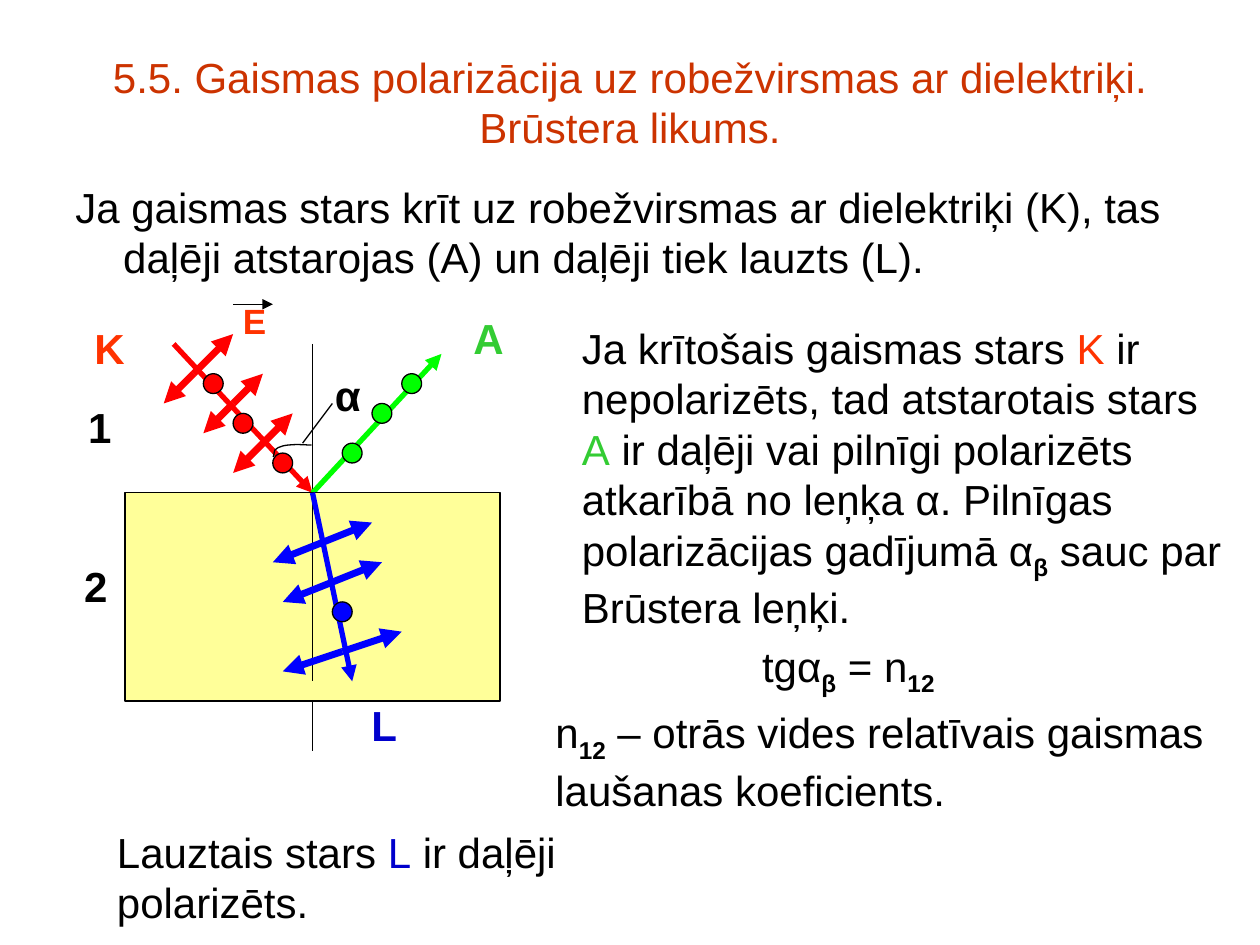
"""Build the slide on polarization at a dielectric boundary and Brewster's law."""
from lxml.etree import SubElement
from pptx import Presentation
from pptx.dml.color import RGBColor
from pptx.enum.shapes import MSO_CONNECTOR as Link, MSO_SHAPE as Preset
from pptx.enum.text import MSO_ANCHOR as Anchor, PP_ALIGN as Align
from pptx.oxml.ns import qn
from pptx.util import Inches, Pt

BLACK, RED, GREEN, BLUE = "000000", "FF0000", "00FF00", "0000FF"
K_TEXT, A_TEXT, L_TEXT = "FF3300", "33CC33", "0000CC"
SUBSCRIPT = {"bold": True, "baseline": "-25000"}
rgb = RGBColor.from_string

deck = Presentation()
deck.slide_width, deck.slide_height = Inches(10), Inches(7.5)
slide = deck.slides.add_slide(deck.slide_layouts[6])
shapes = slide.shapes
percent_x, percent_y = deck.slide_width / 100, deck.slide_height / 100
cell = deck.slide_width / 127
axis, surface = 31.5 * cell, 49.67 * cell


def write(lines, left, top, width, height, size=24, color=BLACK, bold=False,
          wrap=False, align=Align.LEFT, anchor=Anchor.TOP, hanging=0):
    box = shapes.add_textbox(int(left * percent_x), int(top * percent_y),
                             int(width * percent_x), int(height * percent_y))
    frame = box.text_frame
    frame.word_wrap, frame.vertical_anchor = wrap, anchor
    for index, pieces in enumerate(lines):
        paragraph = frame.add_paragraph() if index else frame.paragraphs[0]
        paragraph.alignment = align
        if hanging:
            indents = paragraph._p.get_or_add_pPr()
            indents.set("marL", str(Inches(hanging)))
            indents.set("indent", str(-Inches(hanging)))
        for piece in pieces:
            if piece == "\n":
                paragraph.add_line_break()
                continue
            words, look = (piece, {}) if isinstance(piece, str) else piece
            run = paragraph.add_run()
            run.text = words
            run.font.name, run.font.size = "Arial", Pt(size)
            run.font.bold = look.get("bold", bold)
            run.font.color.rgb = rgb(look.get("color", color))
            if "baseline" in look:
                run._r.get_or_add_rPr().set("baseline", look["baseline"])


def ray(start, end, color=BLACK, weight=0.75, arrow=False):
    (x1, y1), (x2, y2) = start, end
    line = shapes.add_connector(
        Link.STRAIGHT, int(axis + x1 * cell), int(surface + y1 * cell),
        int(axis + x2 * cell), int(surface + y2 * cell))
    line.line.color.rgb, line.line.width = rgb(color), Pt(weight)
    if arrow:
        SubElement(line.line._get_or_add_ln(), qn("a:tailEnd"), type="triangle")
    SubElement(line._element.spPr, qn("a:effectLst"))
    return line


write([["5.5. Gaismas polarizācija uz robežvirsmas ar dielektriķi.", "\n", "Brūstera likums."]],
      5, 4, 90, 13.47, color="CC3300", wrap=True, align=Align.CENTER, anchor=Anchor.MIDDLE)
write([["Ja gaismas stars krīt uz robežvirsmas ar dielektriķi (K), tas "
        "daļēji atstarojas (A) un daļēji tiek lauzts (L)."]],
      5, 18.53, 90, 70.8, wrap=True, hanging=0.38)

incidence = (0, 0)
ray((0, -15), (0, 26))
incident = ray((-14, -15), incidence, RED, 3, arrow=True)
reflected = ray(incidence, (13, -14), GREEN, 3, arrow=True)
for middle, ends in [((-8, -9), [(-11, -6), (-5, -12)]),
                     ((-5, -5), [(-2, -8), (-8, -2)]),
                     ((-12, -12), [(-8, -16), (-15, -9)])]:
    for end in ends:
        ray(middle, end, RED, 4, arrow=True)

dielectric = shapes.add_shape(Preset.RECTANGLE, int(axis - 18.9 * cell), int(surface),
                              int(37.8 * cell), int(21 * cell))
dielectric.shadow.inherit = False
dielectric.fill.solid()
dielectric.fill.fore_color.rgb = rgb("FFFF99")
dielectric.line.color.rgb, dielectric.line.width = rgb(BLACK), Pt(0.75)

inner_normal = ray(incidence, (0, 19))
refracted = ray(incidence, (4, 19), BLUE, 3, arrow=True)
incident.end_connect(dielectric, 0)
for leaving in (reflected, inner_normal, refracted):
    leaving.begin_connect(dielectric, 0)
ray((3, 16), (3, 16), arrow=True)
for middle, ends in [((1, 5), [(6, 3), (-4, 7)]),
                     ((2, 9), [(7, 7), (-3, 11)]),
                     ((3, 16), [(9, 14), (-3, 18)])]:
    for end in ends:
        ray(middle, end, BLUE, 4, arrow=True)

for color, corners in [(RED, [(-11, -12), (-8, -8), (-4, -4)]),
                       (GREEN, [(3, -5), (6, -9), (9, -12)]),
                       (BLUE, [(2, 11)])]:
    for column, row in corners:
        dot = shapes.add_shape(Preset.OVAL, int(axis + column * cell),
                               int(surface + row * cell), int(2 * cell), int(2 * cell))
        dot.shadow.inherit = False
        dot.fill.solid()
        dot.fill.fore_color.rgb = rgb(color)
        dot.line.color.rgb, dot.line.width = rgb(BLACK), Pt(0.75)

ray((-8, -19), (-4, -19), arrow=True)
ray((-1, -5), (2, -9))

curve_points = [(-3.9, -3.5), (-3.9, -4), (-3.8, -4.3),
                (-3.1, -5.1), (-0.6, -4.8), (-0.1, -4.8)]
builder = shapes.build_freeform(-400, -370, scale=cell / 100)
builder.add_line_segments([(100 * x, 100 * y) for x, y in curve_points], close=False)
angle = builder.convert_to_shape(int(axis), int(surface))
angle.shadow.inherit = False
angle.fill.background()
angle.line.color.rgb, angle.line.width = rgb(BLACK), Pt(0.75)
outline = next(angle._element.iter(qn("a:path")))
segments = outline.findall(qn("a:lnTo"))
for first in (0, 3):
    curve = SubElement(outline, qn("a:cubicBezTo"))
    for segment in segments[first:first + 3]:
        curve.append(segment[0])
        outline.remove(segment)

for label, left, top, width, color in [
        ("K", 6.5, 33.47, 4.4, K_TEXT), ("A", 36.6, 32.4, 4.4, A_TEXT),
        ("L", 28.5, 73.33, 4, L_TEXT), ("1", 6, 41.87, 3.8, BLACK),
        ("2", 5.7, 58.67, 3.8, BLACK), ("α", 25.6, 38.4, 4, BLACK)]:
    write([[label]], left, top, width, 6.67, color=color, bold=True)
write([["E"]], 18.3, 31.07, 3.8, 5.87, size=20, color=K_TEXT, bold=True)

write([["Ja krītošais gaismas stars ", ("K", {"color": K_TEXT}), " ir"],
       ["nepolarizēts, tad atstarotais stars"],
       [("A", {"color": A_TEXT}), " ir daļēji vai pilnīgi polarizēts"],
       ["atkarībā no leņķa α. Pilnīgas"],
       ["polarizācijas gadījumā α", ("β", SUBSCRIPT), " sauc par"],
       ["Brūstera leņķi."]], 45.2, 33.47, 52.7, 34.13)
write([["tgα", ("β", SUBSCRIPT), " = n", ("12", SUBSCRIPT)]], 59.5, 67.07, 15.7, 7.47)
write([["n", ("12", SUBSCRIPT), " – otrās vides relatīvais gaismas"],
       ["laušanas koeficients."]], 43.1, 74.13, 53.4, 12.8)
write([["Lauztais stars ", ("L", {"color": L_TEXT}), " ir daļēji polarizēts."]],
      8.3, 86.8, 52.9, 6.67)

deck.save("out.pptx")
